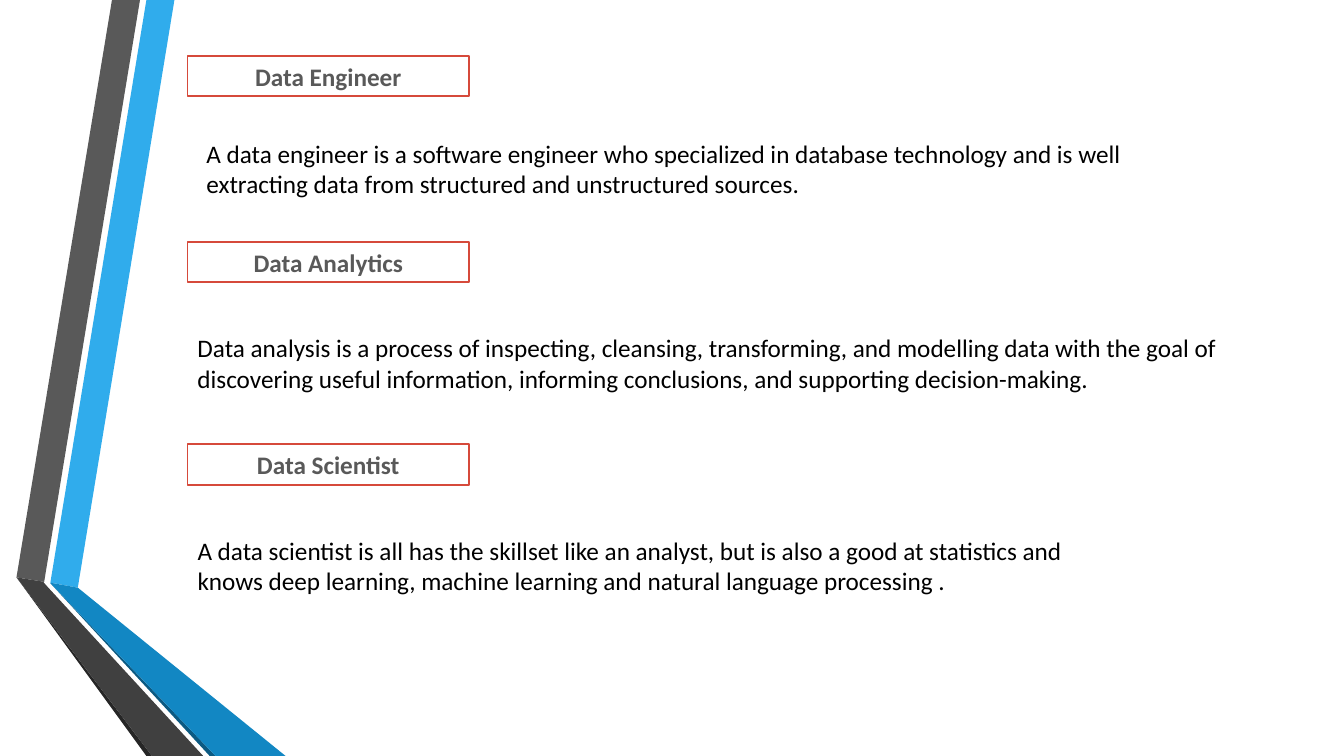
import pptx
import pptx.util
import pptx.dml.color
import pptx.enum.shapes
import pptx.enum.text

Pt = pptx.util.Pt
COLORS = {
    "blue": "30ACEC", "blue_mid": "1287C3", "blue_dark": "0C5A82",
    "gray": "595959", "gray_mid": "404040", "gray_dark": "262626",
    "red": "D64A3B", "white": "FFFFFF", "black": "000000",
}


def color(name):
    return pptx.dml.color.RGBColor.from_string(COLORS[name])


def write(box, text, align, font):
    frame = box.text_frame
    frame.word_wrap = True
    frame.auto_size = pptx.enum.text.MSO_AUTO_SIZE.SHAPE_TO_FIT_TEXT
    para = frame.paragraphs[0]
    para.alignment = align
    span = para.add_run()
    span.text = text
    span.font.color.rgb = color(font["color"])
    for name, value in font["format"].items():
        setattr(span.font, name, value)


deck = pptx.Presentation()
deck.slide_width, deck.slide_height = Pt(960), Pt(540)
page = deck.slides.add_slide(deck.slide_layouts[6])

# Folded ribbons at the left edge
ribbons = [
    ("blue", [(36, 416.2), (55.6, 419.8), (124.6, 0), (104.6, 0)]),
    ("gray", [(100, 0), (80, 0), (11.8, 412.4), (31.6, 415.6)]),
    ("gray_dark", [(11.8, 412.4), (104.6, 540), (108.6, 540)]),
    ("blue_dark", [(36, 416.6), (149.8, 540), (154, 540)]),
    ("blue_mid", [(36, 416.6), (154, 540), (204, 540), (55.6, 419.8), (36, 416.2)]),
    ("gray_mid", [(145.2, 540), (34.6, 419.8), (31.2, 416), (31.6, 415.6),
                  (11.8, 412.4), (108.6, 540)]),
]
for fill, corners in ribbons:
    points = [(Pt(x), Pt(y)) for x, y in corners]
    builder = page.shapes.build_freeform(*points[0])
    builder.add_line_segments(points[1:], close=True)
    ribbon = builder.convert_to_shape()
    ribbon.shadow.inherit = False
    ribbon.fill.solid()
    ribbon.fill.fore_color.rgb = color(fill)
    ribbon.line.fill.background()

# Roles: label, label top, description, description left, top and width
roles = [
    ("Data Engineer", 39.8,
     "A data engineer is a software engineer who specialized in database technology "
     "and is well extracting data from structured and unstructured sources.",
     140.4, 95, 672.5),
    ("Data Analytics", 172.6,
     "Data analysis is a process of inspecting, cleansing, transforming, and modelling "
     "data with the goal of discovering useful information, informing conclusions, "
     "and supporting decision-making.",
     134, 234, 748),
    ("Data Scientist", 317.4,
     "A data scientist is all has the skillset like an analyst, but is also a good at "
     "statistics and knows deep learning, machine learning and natural language processing .",
     134, 378.7, 671),
]
base = {"name": "Calibri", "size": Pt(18)}
label_font = {"color": "gray", "format": {**base, "bold": True}}
body_font = {"color": "black", "format": base}
ALIGN = pptx.enum.text.PP_ALIGN

for label, label_top, description, left, top, width in roles:
    box = page.shapes.add_shape(pptx.enum.shapes.MSO_SHAPE.RECTANGLE,
                                Pt(134), Pt(label_top), Pt(201), Pt(29))
    box.shadow.inherit = False
    box.fill.solid()
    box.fill.fore_color.rgb = color("white")
    box.line.color.rgb = color("red")
    box.line.width = Pt(1.25)
    write(box, label, ALIGN.CENTER, label_font)

    body = page.shapes.add_textbox(Pt(left), Pt(top), Pt(width), Pt(51))
    write(body, description, ALIGN.LEFT, body_font)

deck.save("out.pptx")
